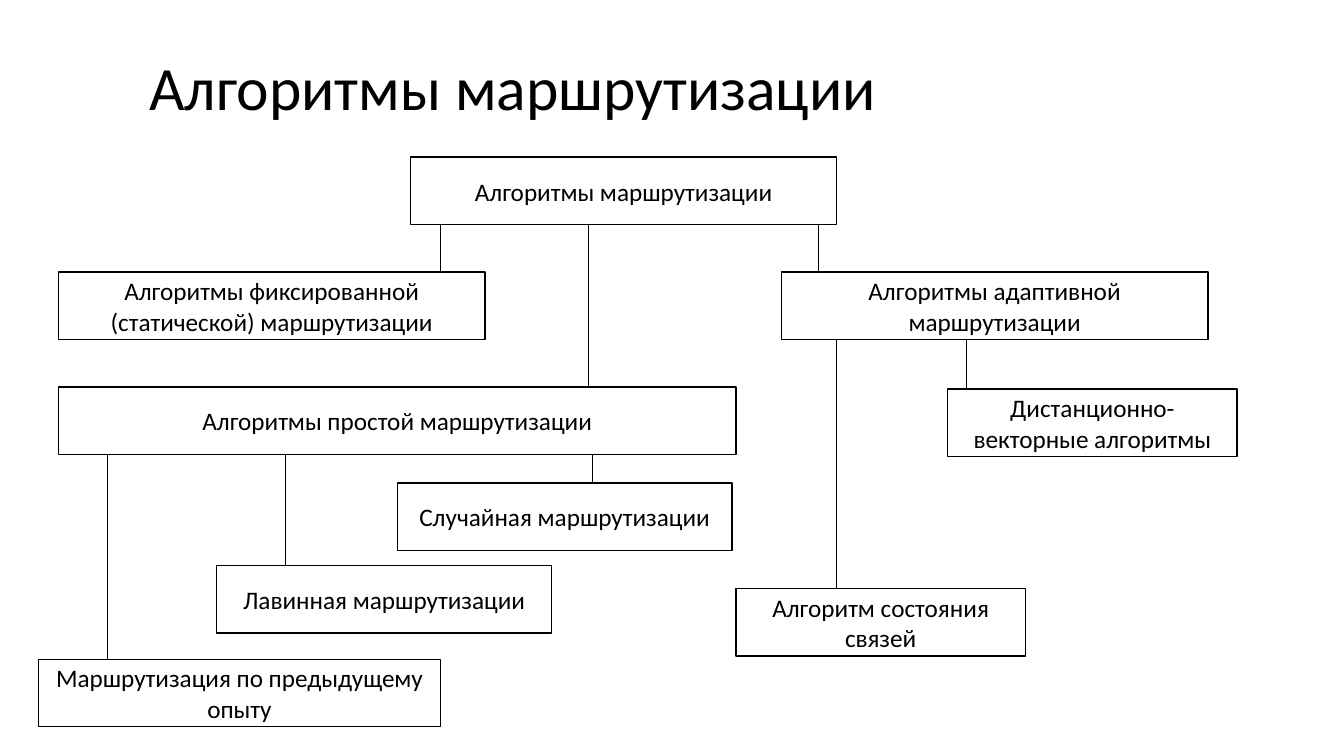
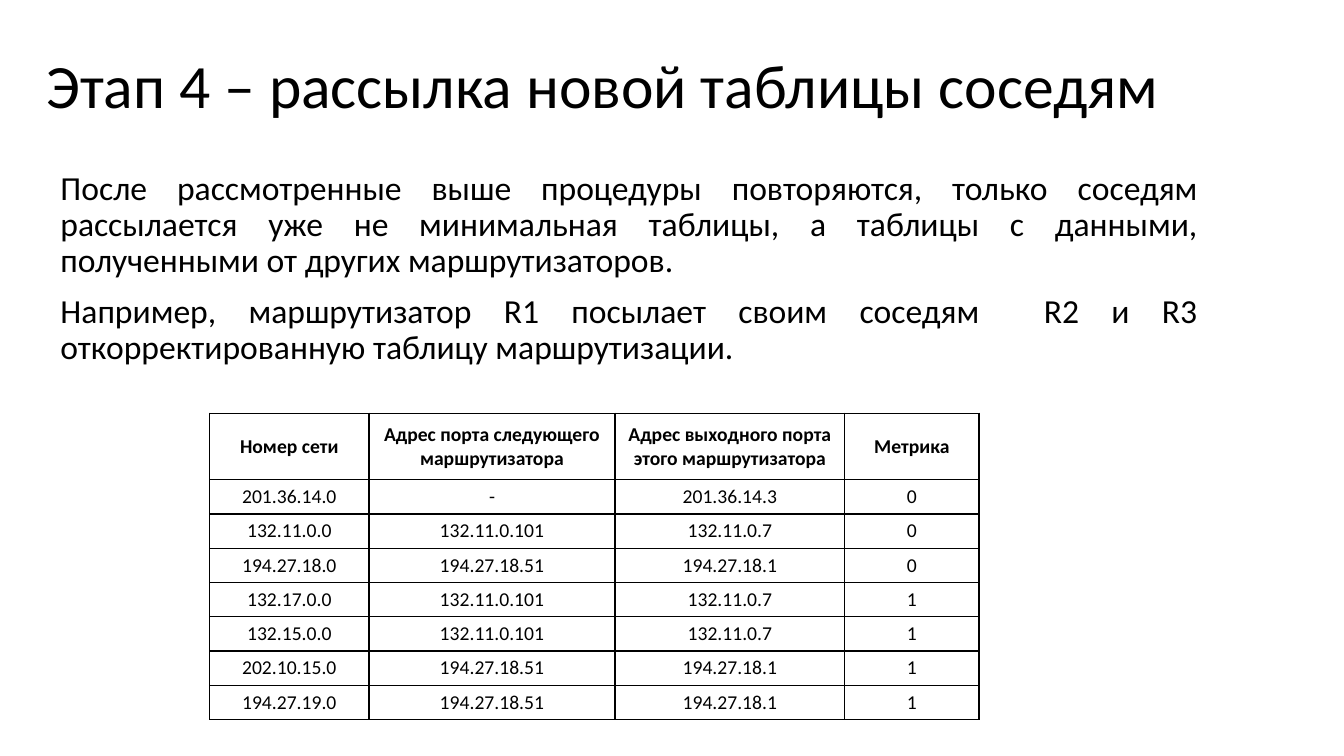
import dataclasses

import lxml.etree
import pptx
import pptx.dml.color
import pptx.enum.shapes
import pptx.enum.text
import pptx.oxml.ns
import pptx.util

PX = 9144
ALIGN = pptx.enum.text.PP_ALIGN
MIDDLE = pptx.enum.text.MSO_ANCHOR.MIDDLE


@dataclasses.dataclass(frozen=True)
class Theme:
    font: str = "Calibri"
    ink: str = "000000"
    paper: str = "FFFFFF"
    title: int = 44
    body: int = 24
    box: int = 18
    cell: int = 14
    border: float = 1
    link: float = 0.5


def px(n):
    return pptx.util.Emu(n * PX)


def rgb(value):
    return pptx.dml.color.RGBColor.from_string(value)


def add_xml(parent, tag, **attrs):
    return lxml.etree.SubElement(parent, pptx.oxml.ns.qn(tag), attrs)


class Deck:
    """Holds the theme, the presentation and the current slide."""

    def __init__(self, theme):
        self.theme = theme
        self.prs = pptx.Presentation()
        self.prs.slide_width, self.prs.slide_height = px(1333), px(750)

    def style(self, p, size, align, bold=False):
        p.alignment = align
        p.font.name = self.theme.font
        p.font.size = pptx.util.Pt(size)
        p.font.bold = bold
        p.font.color.rgb = rgb(self.theme.ink)

    def place(self, sp, left, top, width, height):
        sp.left, sp.top, sp.width, sp.height = map(px, (left, top, width, height))
        sp.text_frame.word_wrap = True
        sp.text_frame.auto_size = pptx.enum.text.MSO_AUTO_SIZE.NONE

    def slide(self, layout, title, *frame):
        layouts = self.prs.slide_layouts
        self.s = self.prs.slides.add_slide(layouts.get_by_name(layout))
        sp = self.s.shapes.title
        self.place(sp, *frame)
        tf = sp.text_frame
        tf.text = title
        tf.vertical_anchor = MIDDLE
        tf.paragraphs[0].line_spacing = 0.9
        self.style(tf.paragraphs[0], self.theme.title, ALIGN.LEFT)

    def body(self, paragraphs, *frame):
        sp = self.s.placeholders[1]
        self.place(sp, *frame)
        tf = sp.text_frame
        tf.text = "\n".join(paragraphs)
        for p in tf.paragraphs:
            p.line_spacing = 0.9
            p.space_before = pptx.util.Pt(10)
            pPr = p._p.get_or_add_pPr()
            pPr.set("marL", "0")
            pPr.set("indent", "0")
            add_xml(pPr, "a:buNone")
            self.style(p, self.theme.body, ALIGN.JUSTIFY)

    def box(self, text, *frame):
        sp = self.s.shapes.add_shape(
            pptx.enum.shapes.MSO_SHAPE.RECTANGLE, *map(px, frame))
        sp.shadow.inherit = False
        sp.fill.solid()
        sp.fill.fore_color.rgb = rgb(self.theme.paper)
        sp.line.color.rgb = rgb(self.theme.ink)
        sp.line.width = pptx.util.Pt(self.theme.border)
        tf = sp.text_frame
        tf.word_wrap = True
        tf.vertical_anchor = MIDDLE
        tf.text = text
        self.style(tf.paragraphs[0], self.theme.box, ALIGN.CENTER)
        return sp

    def link(self, parent, child, x):
        line = self.s.shapes.add_connector(
            pptx.enum.shapes.MSO_CONNECTOR.STRAIGHT,
            px(x), parent.top + parent.height, px(x), child.top)
        line.line.color.rgb = rgb(self.theme.ink)
        line.line.width = pptx.util.Pt(self.theme.link)
        add_xml(line._element.spPr, "a:effectLst")

    def cell(self, cell, text, bold):
        cell.text = text
        cell.vertical_anchor = MIDDLE
        self.style(cell.text_frame.paragraphs[0], self.theme.cell, ALIGN.CENTER, bold)
        tcPr = cell._tc.get_or_add_tcPr()
        width = str(pptx.util.Pt(self.theme.border))
        for side in "LRTB":
            fill = add_xml(add_xml(tcPr, f"a:ln{side}", w=width), "a:solidFill")
            add_xml(fill, "a:srgbClr", val=self.theme.ink)
        cell.fill.background()

    def table(self, rows, left, top, widths, heights):
        frame = (left, top, sum(widths), sum(heights))
        table = self.s.shapes.add_table(
            len(rows), len(widths), *map(px, frame)).table
        table.first_row = table.horz_banding = False
        for column, width in zip(table.columns, widths):
            column.width = px(width)
        for i, (row, height, texts) in enumerate(zip(table.rows, heights, rows)):
            row.height = px(height)
            for cell, text in zip(row.cells, texts):
                self.cell(cell, text, bold=i == 0)


BOX_HEIGHT = 67
BOXES = {
    "root": ("Алгоритмы маршрутизации", 407, 156, 423),
    "fixed": ("Алгоритмы фиксированной (статической) маршрутизации", 58, 270, 423),
    "simple": ("Алгоритмы простой маршрутизации", 58, 384, 672),
    "adaptive": ("Алгоритмы адаптивной маршрутизации", 775, 270, 423),
    "random": ("Случайная маршрутизации", 394, 479, 332),
    "flood": ("Лавинная маршрутизации", 215, 561, 332),
    "experience": ("Маршрутизация по предыдущему опыту", 38, 654, 399),
    "distance": ("Дистанционно-векторные алгоритмы", 940, 386, 287),
    "state": ("Алгоритм состояния связей", 730, 584, 287),
}
LINKS = [
    ("root", "fixed", 437),
    ("root", "adaptive", 812),
    ("root", "simple", 584),
    ("adaptive", "distance", 958),
    ("adaptive", "state", 830),
    ("simple", "random", 588),
    ("simple", "experience", 106),
    ("simple", "flood", 283),
]
BODY = [
    "После рассмотренные выше процедуры повторяются, только соседям рассылается "
    "уже не минимальная таблицы, а таблицы с данными, полученными от других "
    "маршрутизаторов.",
    "Например, маршрутизатор R1 посылает своим соседям  R2 и R3 "
    "откорректированную таблицу маршрутизации.",
]
ROUTES = [
    ("Номер сети", "Адрес порта следующего маршрутизатора",
     "Адрес выходного порта этого маршрутизатора", "Метрика"),
    ("201.36.14.0", "-", "201.36.14.3", "0"),
    ("132.11.0.0", "132.11.0.101", "132.11.0.7", "0"),
    ("194.27.18.0", "194.27.18.51", "194.27.18.1", "0"),
    ("132.17.0.0", "132.11.0.101", "132.11.0.7", "1"),
    ("132.15.0.0", "132.11.0.101", "132.11.0.7", "1"),
    ("202.10.15.0", "194.27.18.51", "194.27.18.1", "1"),
    ("194.27.19.0", "194.27.18.51", "194.27.18.1", "1"),
]


def main():
    deck = Deck(Theme())

    deck.slide("Title Only", "Алгоритмы маршрутизации", 138, 40, 1060, 99)
    boxes = {name: deck.box(*box, BOX_HEIGHT) for name, box in BOXES.items()}
    for parent, child, x in LINKS:
        deck.link(boxes[parent], boxes[child], x)

    deck.slide("Title and Content", "Этап 4 – рассылка новой таблицы соседям",
               36, 40, 1162, 95)
    deck.body(BODY, 50, 165, 1148, 476)
    heights = [66] + [34] * (len(ROUTES) - 1)
    deck.table(ROUTES, 208, 410, [158, 244, 228, 133], heights)

    deck.prs.save("out.pptx")


if __name__ == "__main__":
    main()
